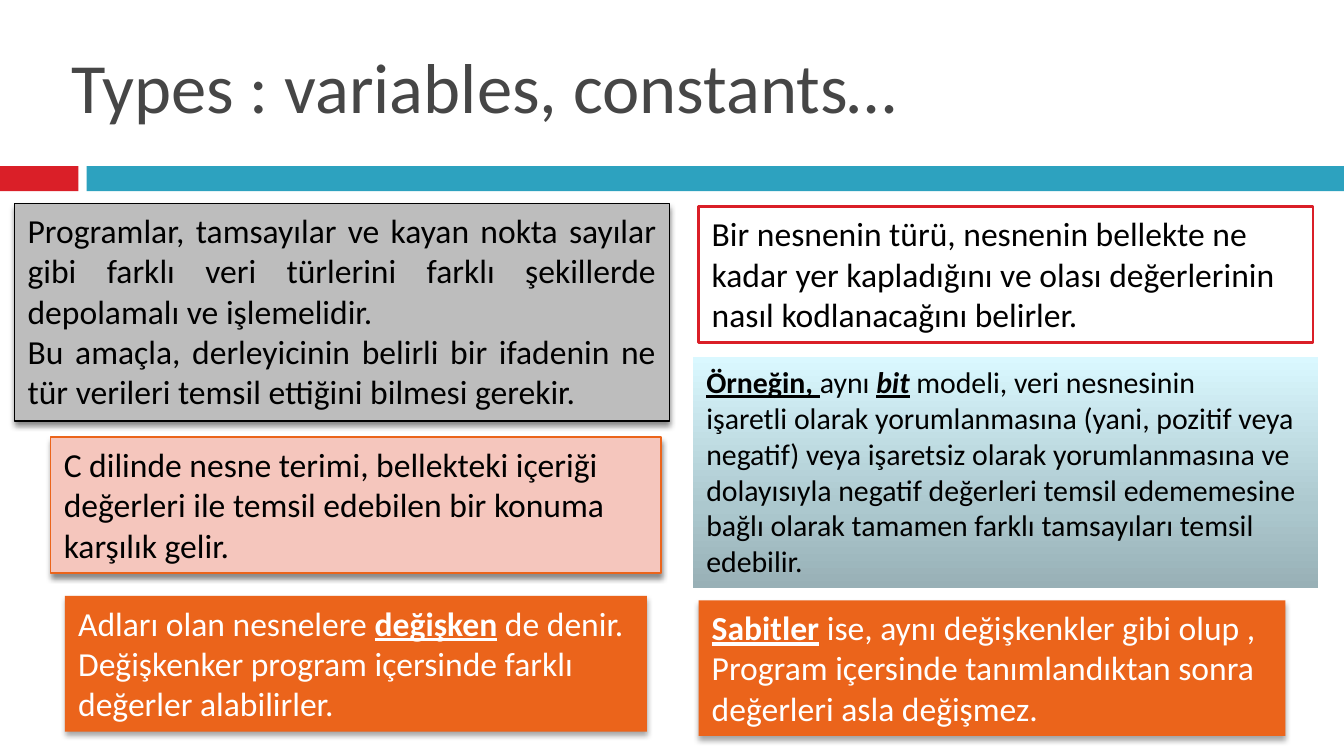
from lxml import etree
from pptx import Presentation
from pptx import util as u
from pptx.dml.color import RGBColor
from pptx.enum import shapes, text
from pptx.oxml import parse_xml
from pptx.oxml.ns import nsdecls, qn

Pt = u.Pt
COLORS = {
    "title": "464646", "red": "DA1F28", "teal": "2DA2BF", "orange": "EB641B",
    "gray": "BDBDBD", "pink": "F5C6BD", "black": "000000", "white": "FFFFFF",
}
GRADIENT = [(0, "98B0B6"), (35, "ACC8CE"), (100, "DAF8FF")]


def rgb(name):
    return RGBColor.from_string(COLORS[name])


def add_box(at, fill=None, line=None, line_width=0.79, shadow=None):
    """Add a rectangle; shadow is (opacity in percent, distance in points)."""
    box = slide.shapes.add_shape(shapes.MSO_SHAPE.RECTANGLE, *map(Pt, at))
    box.shadow.inherit = False
    if fill:
        box.fill.solid()
        box.fill.fore_color.rgb = rgb(fill)
    if line:
        box.line.color.rgb = rgb(line)
        box.line.width = Pt(line_width)
    else:
        box.line.fill.background()
    if shadow:
        opacity, distance = shadow
        effects = box._element.spPr.find(qn("a:effectLst"))
        effects.append(parse_xml(
            f'<a:outerShdw {nsdecls("a")} blurRad="{Pt(3)}" dist="{Pt(distance)}" '
            f'dir="5400000" rotWithShape="0"><a:srgbClr val="{COLORS["black"]}">'
            f'<a:alpha val="{opacity * 1000}"/></a:srgbClr></a:outerShdw>'))
    return box


prs = Presentation()
prs.slide_width, prs.slide_height = Pt(720), Pt(405)
slide = prs.slides.add_slide(prs.slide_layouts[6])

# Header
add_box((0, 89, 42, 13.5), "red")
add_box((46.5, 89, 673.5, 13.5), "teal")
title = slide.shapes.add_textbox(Pt(31), Pt(21), Pt(612), Pt(51)).text_frame
title.word_wrap = True
title.vertical_anchor = text.MSO_ANCHOR.BOTTOM
title.text = "Types : variables, constants…"
title_font = title.paragraphs[0].runs[0].font
title_font.name, title_font.size = "Calibri", Pt(37.8)
title_font.color.rgb = rgb("title")

# Text cards
soft, light = (45, 2.4), (35, 2)
programs = add_box((7.7, 109, 351, 116.5), "gray", "black", shadow=soft)
objects = add_box((27.1, 234.2, 327, 72.7), "pink", "orange", shadow=soft)
variables = add_box((34.8, 319.2, 311.8, 72.7), "orange", shadow=light)
types = add_box((374.2, 110.7, 329.2, 72.7), "white", "red", 1.5)
example = add_box((371.3, 191.4, 334.8, 123.6))
constants = add_box((374.2, 321.6, 314.4, 72.7), "orange", shadow=light)

example.fill.gradient()
gradient = example._element.spPr.find(qn("a:gradFill"))
stops = gradient.find(qn("a:gsLst"))
for stop in list(stops):
    stops.remove(stop)
for position, color in GRADIENT:
    stop = etree.SubElement(stops, qn("a:gs"), pos=str(position * 1000))
    etree.SubElement(stop, qn("a:srgbClr"), val=color)
gradient.find(qn("a:lin")).set("ang", "16200000")

# Each paragraph is a list of (words, style): b bold, i italic, u underlined
cards = [
    (programs, 18, "black", True, [
        [("Programlar, tamsayılar ve kayan nokta sayılar gibi farklı veri türlerini "
          "farklı şekillerde depolamalı ve işlemelidir.", "")],
        [("Bu amaçla, derleyicinin belirli bir ifadenin ne tür verileri temsil "
          "ettiğini bilmesi gerekir.", "")]]),
    (objects, 18, "black", True, [
        [("C dilinde nesne terimi, bellekteki içeriği değerleri ile temsil edebilen "
          "bir konuma karşılık gelir.", "")]]),
    (variables, 18, "white", False, [
        [("Adları olan nesnelere ", ""), ("değişken", "bu"), (" de denir.", "")],
        [("Değişkenker program içersinde farklı", "")],
        [("değerler alabilirler.", "")]]),
    (types, 18, "black", True, [
        [("Bir nesnenin türü, nesnenin bellekte ne kadar yer kapladığını ve olası "
          "değerlerinin nasıl kodlanacağını belirler.", "")]]),
    (example, 16, "black", True, [
        [("Örneğin, ", "bu"), ("aynı ", ""), ("bit", "biu"),
         (" modeli, veri nesnesinin", "")],
        [("işaretli olarak yorumlanmasına (yani, pozitif veya negatif) veya işaretsiz "
          "olarak yorumlanmasına ve dolayısıyla negatif değerleri temsil edememesine "
          "bağlı olarak tamamen farklı tamsayıları temsil edebilir.", "")]]),
    (constants, 18, "white", False, [
        [("Sabitler", "bu"), (" ise, aynı değişkenkler gibi olup ,", "")],
        [("Program içersinde tanımlandıktan sonra", "")],
        [("değerleri asla değişmez.", "")]]),
]
for card, size, color, wrap, paragraphs in cards:
    frame = card.text_frame
    frame.word_wrap = wrap
    frame.auto_size = text.MSO_AUTO_SIZE.SHAPE_TO_FIT_TEXT
    frame.vertical_anchor = text.MSO_ANCHOR.TOP
    for index, pieces in enumerate(paragraphs):
        paragraph = frame.add_paragraph() if index else frame.paragraphs[0]
        paragraph.alignment = (
            text.PP_ALIGN.JUSTIFY if card is programs else text.PP_ALIGN.LEFT)
        for words, style in pieces:
            run = paragraph.add_run()
            run.text = words
            run.font.name, run.font.size = "Calibri", Pt(size)
            run.font.color.rgb = rgb(color)
            run.font.bold = "b" in style
            run.font.italic = "i" in style
            run.font.underline = "u" in style

prs.save("out.pptx")
